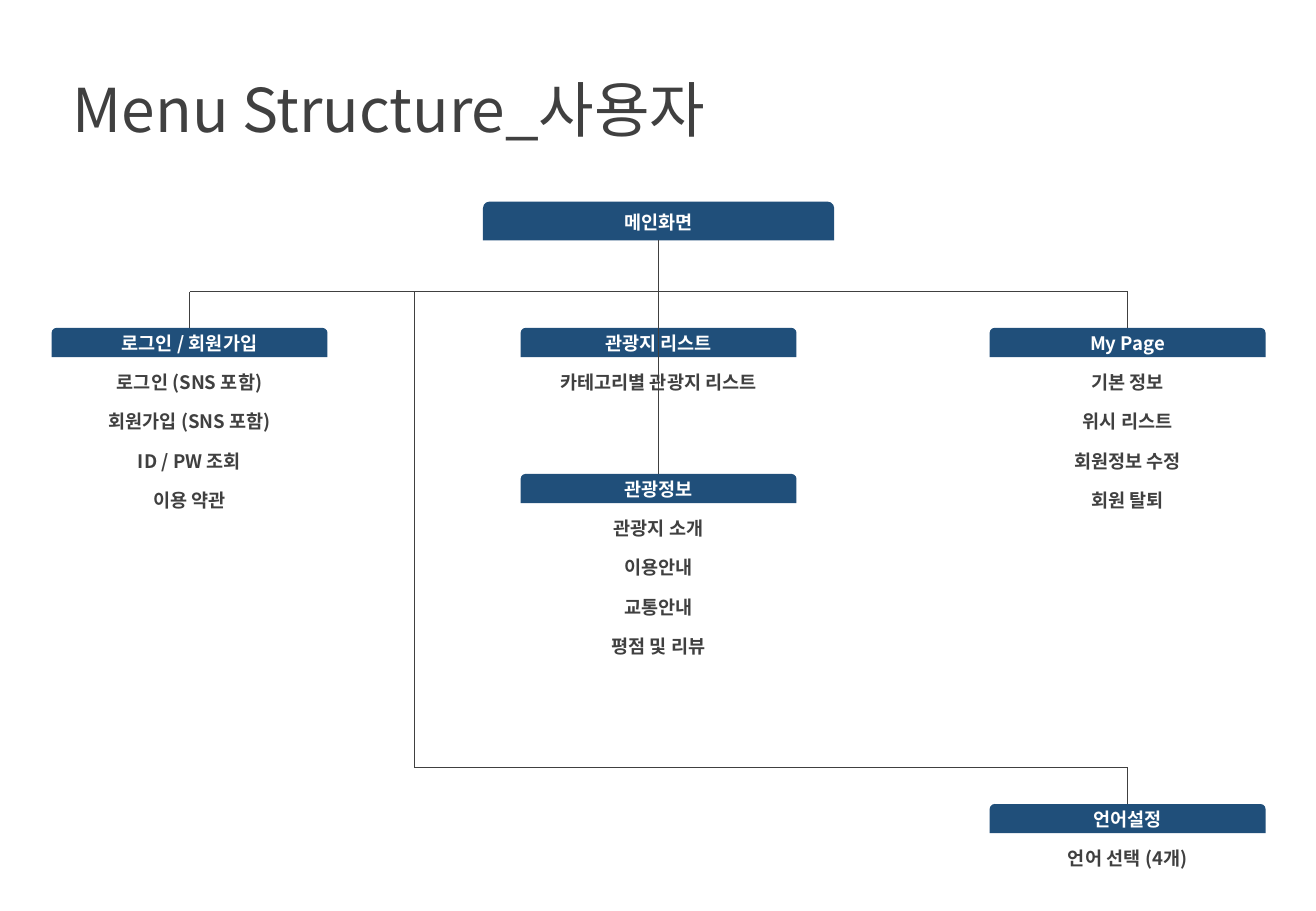
import pptx
import pptx.dml.color
import pptx.enum.shapes
import pptx.enum.text
import pptx.oxml.ns
import pptx.util
from lxml import etree

RGBColor = pptx.dml.color.RGBColor
NAVY = RGBColor(0x20, 0x4F, 0x7A)
WHITE = RGBColor(0xFF, 0xFF, 0xFF)
GRAY = RGBColor(0x40, 0x40, 0x40)

Shapes = pptx.enum.shapes.MSO_SHAPE
Align = pptx.enum.text.PP_ALIGN
Anchor = pptx.enum.text.MSO_ANCHOR
AutoSize = pptx.enum.text.MSO_AUTO_SIZE
Inches = pptx.util.Inches
qn = pptx.oxml.ns.qn

FONT = "Noto Sans CJK KR"
MAIN_ROW, BUS_RISE, MAIN_HEIGHT = -3.2, 0.92, 0.32
LIST_ROW, INFO_ROW, LANGUAGE_ROW = 0, 3.7, 12.06
BRANCH_COLUMN = 0.48

MENUS = [
    (0, LIST_ROW, "로그인 / 회원가입",
     ["로그인 (SNS 포함)", "회원가입 (SNS 포함)", "ID / PW 조회", "이용 약관"]),
    (1, LIST_ROW, "관광지 리스트", ["카테고리별 관광지 리스트"]),
    (2, LIST_ROW, "My Page", ["기본 정보", "위시 리스트", "회원정보 수정", "회원 탈퇴"]),
    (1, INFO_ROW, "관광정보", ["관광지 소개", "이용안내", "교통안내", "평점 및 리뷰"]),
    (2, LANGUAGE_ROW, "언어설정", ["언어 선택 (4개)"]),
]


def apply(target, formats):
    """Set each attribute of target from a dict."""
    for name, value in formats.items():
        setattr(target, name, value)


class MenuMap:
    """Draws a menu tree on a grid of column centres and row tops."""

    left, column = 1.56, 3.86
    top, row = 2.7, 0.325

    def __init__(self, slide):
        self.slide = slide

    def x(self, column):
        """Return the centre of a column in inches."""
        return self.left + column * self.column

    def y(self, row):
        """Return the top of a row in inches."""
        return self.top + row * self.row

    def label(self, shape, text, frame, paragraph, font, color):
        """Put formatted text into a shape."""
        shape.text_frame.text = text
        apply(shape.text_frame, frame)
        line = shape.text_frame.paragraphs[0]
        apply(line, paragraph)
        for run in line.runs:
            apply(run.font, {"name": FONT, **font})
            run.font.color.rgb = color
            east_asian = etree.SubElement(run.font._element, qn("a:ea"))
            east_asian.set("typeface", FONT)

    def title(self, text):
        """Place and format the slide title."""
        heading = self.slide.shapes.title
        apply(heading, {"left": Inches(0.5), "top": Inches(0.54),
                        "width": Inches(5.6), "height": Inches(0.7)})
        self.label(heading, text,
                   {"word_wrap": False, "auto_size": AutoSize.NONE,
                    "vertical_anchor": Anchor.MIDDLE},
                   {"alignment": Align.LEFT},
                   {"size": pptx.util.Pt(35.8), "bold": False}, GRAY)

    def box(self, column, row, text, kind, fill, color, width=2.27, height=0.24):
        """Add a labelled box centred on a column."""
        shape = self.slide.shapes.add_shape(
            kind, Inches(self.x(column) - width / 2), Inches(self.y(row)),
            Inches(width), Inches(height))
        shape.shadow.inherit = False
        shape.fill.solid()
        shape.fill.fore_color.rgb = fill
        shape.line.fill.background()
        margins = dict.fromkeys(
            ["margin_left", "margin_right", "margin_top", "margin_bottom"], 0)
        self.label(shape, text,
                   {"word_wrap": True, "vertical_anchor": Anchor.MIDDLE, **margins},
                   {"alignment": Align.CENTER},
                   {"size": pptx.util.Pt(11), "bold": True}, color)

    def header(self, column, row, text, **size):
        """Add a navy heading with rounded top corners."""
        self.box(column, row, text, Shapes.ROUND_2_SAME_RECTANGLE, NAVY, WHITE, **size)

    def menu(self, column, row, heading, items):
        """Add a heading with its items below."""
        for step, item in enumerate(items, start=1):
            self.box(column, row + step, item, Shapes.RECTANGLE, WHITE, GRAY)
        self.header(column, row, heading)

    def link(self, start, end):
        """Draw a thin line between two (column, row) points."""
        (column_1, row_1), (column_2, row_2) = start, end
        line = self.slide.shapes.add_connector(
            pptx.enum.shapes.MSO_CONNECTOR.STRAIGHT,
            Inches(self.x(column_1)), Inches(self.y(row_1)),
            Inches(self.x(column_2)), Inches(self.y(row_2)))
        line.line.color.rgb = GRAY
        line.line.width = pptx.util.Pt(0.5)
        etree.SubElement(line._element.spPr, qn("a:effectLst"))


def main():
    """Build and save the menu structure slide."""
    deck = pptx.Presentation()
    apply(deck, {"slide_width": Inches(10.83), "slide_height": Inches(7.5)})
    tree = MenuMap(deck.slides.add_slide(deck.slide_layouts[5]))

    tree.title("Menu Structure_사용자")
    tree.header(1, MAIN_ROW, "메인화면", width=2.89, height=MAIN_HEIGHT)
    for menu in MENUS:
        tree.menu(*menu)

    main_bus = LIST_ROW - BUS_RISE
    language_bus = LANGUAGE_ROW - BUS_RISE
    main_bottom = MAIN_ROW + MAIN_HEIGHT / tree.row
    for start, end in [
        ((0, main_bus), (2, main_bus)),
        ((0, LIST_ROW), (0, main_bus)),
        ((1, INFO_ROW), (1, main_bottom)),
        ((2, LIST_ROW), (2, main_bus)),
        ((BRANCH_COLUMN, language_bus), (BRANCH_COLUMN, main_bus)),
        ((BRANCH_COLUMN, language_bus), (2, language_bus)),
        ((2, LANGUAGE_ROW), (2, language_bus)),
    ]:
        tree.link(start, end)
    deck.save("out.pptx")


if __name__ == "__main__":
    main()
